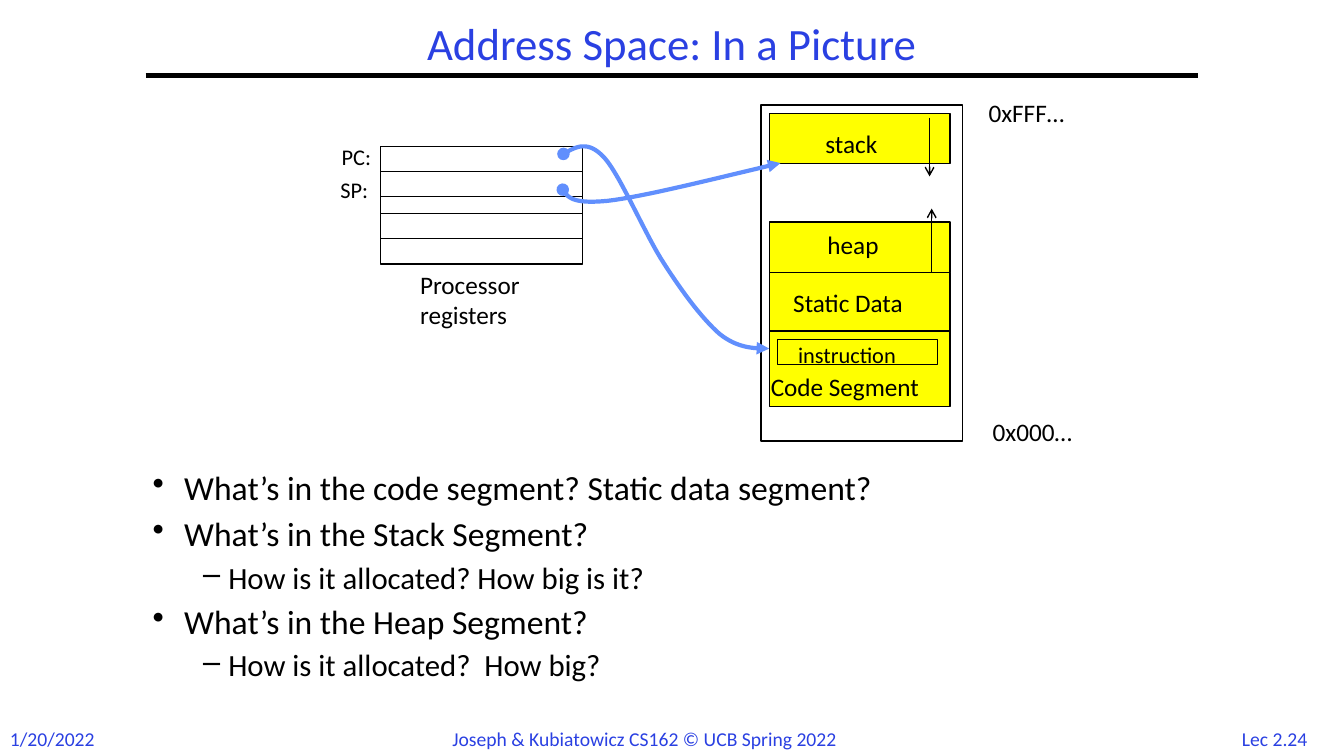
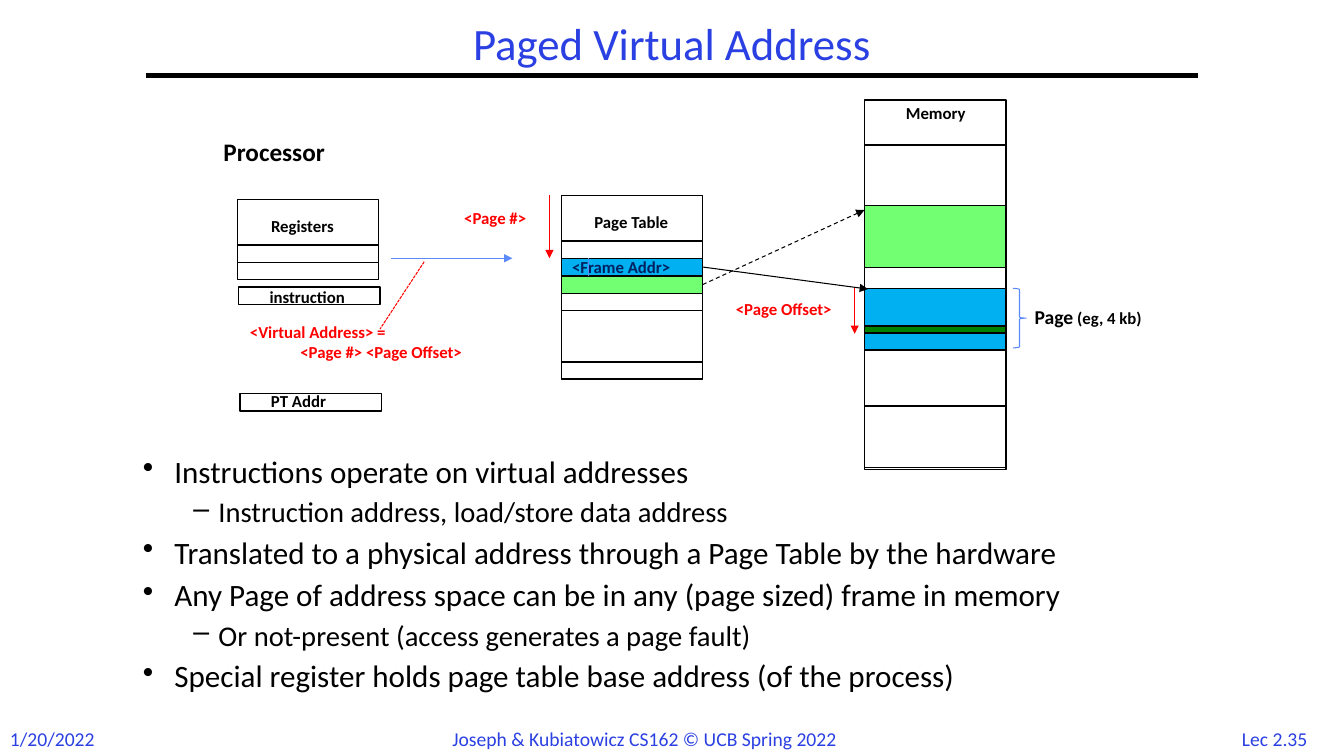
from dataclasses import dataclass

from pptx import Presentation
from pptx.dml.color import RGBColor
from pptx.enum import dml, shapes, text
from pptx.oxml import ns, xmlchemy
from pptx.oxml.xmlchemy import OxmlElement
from pptx.util import Pt

Spot = tuple[float, float]
Area = tuple[float, float, float, float]


@dataclass(frozen=True)
class Theme:
    font: str = "Calibri"
    blue: str = "2A40E2"
    black: str = "000000"
    yellow: str = "FFFF00"
    curve: str = "618FFD"
    pale: str = "5B8AFB"
    red: str = "FF0000"
    navy: str = "002060"
    sky: str = "00B0F0"
    lime: str = "72FF72"
    green: str = "008200"
    title: float = 32
    label: float = 18
    note: float = 16
    foot: float = 14
    small: float = 12


T = Theme()


@dataclass(frozen=True)
class Box:
    at: Area
    fill: str | None = None
    key: str = ""
    form: shapes.MSO_SHAPE = shapes.MSO_SHAPE.RECTANGLE
    ink: str = T.black
    thick: float = 1


@dataclass(frozen=True)
class Tag:
    at: Area
    text: str
    size: float = T.label
    ink: str = T.black
    bold: bool = False
    tail: str = ""


@dataclass(frozen=True)
class Link:
    """A straight line; source names the box whose right side it leaves."""
    start: Spot
    end: Spot
    ink: str = T.black
    thick: float = 0.75
    head: str = "triangle"
    dash: dml.MSO_LINE | None = None
    source: str = ""


@dataclass(frozen=True)
class Curve:
    """A chain of cubic pieces: a start, then three points for each piece."""
    spots: tuple[Spot, ...]


@dataclass(frozen=True)
class Points:
    at: Area
    sizes: tuple[float, float]
    items: tuple[tuple[int, str], ...]


@dataclass(frozen=True)
class Page:
    title: str
    number: str
    boxes: list[Box]
    tags: list[Tag]
    links: list[Link]
    curves: list[Curve]
    points: Points


def place(at: Area) -> list[int]:
    return [Pt(v) for v in at]


def style(item, size: float, ink: str, bold: bool = False) -> None:
    for name, value in {"name": T.font, "size": Pt(size), "bold": bold}.items():
        setattr(item.font, name, value)
    item.font.color.rgb = RGBColor.from_string(ink)


def stroke(shape, ink: str, thick: float) -> None:
    shape.line.color.rgb = RGBColor.from_string(ink)
    shape.line.width = Pt(thick)


def add_tips(shape, **tips: str) -> None:
    """Add arrowheads, given in the order headEnd, tailEnd."""
    for end, kind in tips.items():
        tip = OxmlElement(f"a:{end}")
        tip.set("type", kind)
        shape.get_or_add_ln().append(tip)


def add_box(slide, box: Box):
    shape = slide.shapes.add_shape(box.form, *place(box.at))
    shape.shadow.inherit = False
    if box.fill:
        shape.fill.solid()
        shape.fill.fore_color.rgb = RGBColor.from_string(box.fill)
    else:
        shape.fill.background()
    stroke(shape, box.ink, box.thick)
    return shape


def add_tag(slide, tag: Tag) -> None:
    frame = slide.shapes.add_textbox(*place(tag.at)).text_frame
    frame.word_wrap = True
    frame.text = tag.text
    for para in frame.paragraphs:
        for run in para.runs:
            style(run, tag.size, tag.ink, tag.bold)
    if tag.tail:
        run = frame.paragraphs[-1].add_run()
        run.text = tag.tail
        style(run, T.small, tag.ink, tag.bold)


def add_link(slide, link: Link, known: dict) -> None:
    line = slide.shapes.add_connector(
        shapes.MSO_CONNECTOR.STRAIGHT, *place(link.start + link.end))
    if link.source:
        line.begin_connect(known[link.source], 3)
    stroke(line, link.ink, link.thick)
    if link.dash:
        line.line.dash_style = link.dash
    if link.head:
        add_tips(line, tailEnd=link.head)
    line._element.spPr.append(OxmlElement("a:effectLst"))


def add_curve(slide, curve: Curve, steps: int = 16) -> None:
    first, *rest = curve.spots
    track, start = [], first
    for i in range(0, len(rest), 3):
        knots = (start, *rest[i:i + 3])
        for k in range(1, steps + 1):
            t = k / steps
            mix = ((1 - t) ** 3, 3 * t * (1 - t) ** 2, 3 * t * t * (1 - t), t ** 3)
            track.append(tuple(Pt(sum(m * p[axis] for m, p in zip(mix, knots)))
                               for axis in (0, 1)))
        start = knots[-1]
    path = slide.shapes.build_freeform(*place(first))
    path.add_line_segments(track, close=False)
    shape = path.convert_to_shape()
    shape.shadow.inherit = False
    shape.fill.background()
    stroke(shape, T.curve, 3)
    add_tips(shape, headEnd="oval", tailEnd="triangle")


def add_points(slide, points: Points) -> None:
    frame = slide.shapes.add_textbox(*place(points.at)).text_frame
    frame.word_wrap = True
    marks = ((22.5, -22.5, "•"), (54, -18, "–"))
    for i, (level, words) in enumerate(points.items):
        para = frame.paragraphs[0] if i == 0 else frame.add_paragraph()
        size = points.sizes[level]
        gap = Pt(round(0.28 * size, 1)) if i else Pt(0)
        form = {"text": words, "level": level, "line_spacing": 0.9,
                "space_before": gap}
        for name, value in form.items():
            setattr(para, name, value)
        style(para.runs[0], size, T.black)
        left, indent, sign = marks[level]
        props = para._p.get_or_add_pPr()
        props.set("marL", str(Pt(left)))
        props.set("indent", str(Pt(indent)))
        bullet = OxmlElement("a:buChar")
        bullet.set("char", sign)
        props.append(bullet)


def add_frame(slide, page: Page) -> None:
    """Draw what all pages share: title, rule and footers."""
    title = slide.shapes.title
    for name, value in zip(("left", "top", "width", "height"),
                           place((104, 12, 752, 42))):
        setattr(title, name, value)
    frame = title.text_frame
    frame.text = page.title
    frame.auto_size = text.MSO_AUTO_SIZE.NONE
    frame.vertical_anchor = text.MSO_ANCHOR.MIDDLE
    para = frame.paragraphs[0]
    para.alignment = text.PP_ALIGN.CENTER
    para.line_spacing = 0.9
    style(para.runs[0], T.title, T.blue)
    add_link(slide, Link((104, 54), (856, 54), thick=3, head=""), {})
    feet = ((0, 78, "1/20/2022"),
            (316, 328, "Joseph & Kubiatowicz CS162 © UCB Spring 2022"),
            (880, 72, page.number))
    for left, width, words in feet:
        add_tag(slide, Tag((left, 515.5, width, 24), words, T.foot, T.blue))


def add_page(deck, page: Page) -> None:
    slide = deck.slides.add_slide(deck.slide_layouts[5])
    add_frame(slide, page)
    add_points(slide, page.points)
    known = {}
    for box in page.boxes:
        known[box.key] = add_box(slide, box)
    for tag in page.tags:
        add_tag(slide, tag)
    for link in page.links:
        add_link(slide, link, known)
    for curve in page.curves:
        add_curve(slide, curve)


def space_page() -> Page:
    parts = ((81, 36), (158.5, 36), (194.5, 42), (236.5, 54))
    boxes = [Box((272, 104.5, 144, 84)), Box((543.5, 75, 144, 240))]
    boxes += [Box((272, y, 144, 18)) for y in (122.5, 152.5)]
    boxes += [Box((549.5, y, 129, h), T.yellow) for y, h in parts]
    boxes.append(Box((555.5, 242.5, 114, 18)))
    tags = [Tag((293, 188.5, 97, 51), "Processor\nregisters"),
            Tag((237, 98.5, 42, 27), "PC:", T.note),
            Tag((236, 122.5, 41, 27), "SP:", T.note),
            Tag((702, 294, 82, 29), "0x000…"),
            Tag((699, 66, 85, 29), "0xFFF…"),
            Tag((543.5, 261.5, 136, 29), "Code Segment"),
            Tag((559.5, 201.5, 104, 29), "Static Data"),
            Tag((584, 160, 55, 29), "heap"),
            Tag((582.5, 88, 57, 29), "stack"),
            Tag((563, 240, 96, 27), "instruction", T.note)]
    links = [Link((665.5, 194.5), (665.5, 149), thick=1, head="arrow"),
             Link((664, 84), (664, 126), thick=1, head="arrow")]
    curves = [Curve(((402.5, 110), (411, 105), (420, 99.5), (432, 113),
                     (443.5, 126), (461, 168), (474.5, 188.5),
                     (488, 209.5), (502, 228), (514, 238.5),
                     (526.5, 248.5), (538, 249), (549.5, 249))),
              Curve(((402, 135.5), (405.5, 140.5), (408, 146), (434, 143.5),
                     (460, 140.5), (509, 128), (557.5, 116.5)))]
    points = Points((102, 333.5, 721.5, 188.5), (24, 22), (
        (0, "What’s in the code segment? Static data segment?"),
        (0, "What’s in the Stack Segment?"),
        (1, "How is it allocated? How big is it?"),
        (0, "What’s in the Heap Segment?"),
        (1, "How is it allocated?  How big?")))
    return Page("Address Space: In a Picture", "Lec 2.24", boxes, tags, links,
                curves, points)


def paged_page() -> Page:
    wide, row, frame = 101, 12.5, 44
    regs, table, store = 169.5, 401, 617.5
    boxes = [Box((regs, 142.5, wide, 57)), Box((regs, 175, wide, row)),
             Box((regs + 1, 205, wide, row)), Box((regs + 2, 281, wide, row)),
             Box((table, 139.5, wide, 131)), Box((store, 71.5, wide, 264))]
    rows = ((None, ""), (T.sky, "near"), (T.lime, "far"), (None, ""))
    boxes += [Box((table, 172 + i * row, wide, row), fill, key)
              for i, (fill, key) in enumerate(rows)]
    boxes.append(Box((table, 258.5, wide, row)))
    boxes += [Box((store, y, wide, frame), fill) for y, fill in
              ((103.5, None), (206, T.sky), (290, None), (147, T.lime))]
    boxes += [Box((store, 233, wide, 5), T.green),
              Box((723.5, 206, 9.5, 42.5), form=shapes.MSO_SHAPE.RIGHT_BRACE,
                  ink=T.pale, thick=0.75)]
    tags = [Tag((152.5, 93.5, 104, 29), "Processor", bold=True),
            Tag((732, 214, 105, 25), "Page", T.foot, bold=True,
                tail=" (eg, 4 kb)")]
    small = (((186.5, 150.5, 70), "Registers", T.black),
             ((417.5, 147.5, 78), "Page Table", T.black),
             ((640, 70, 61), "Memory", T.black),
             ((171.5, 226, 236), "<Virtual Address> =\n\t<Page #> <Page Offset>",
              T.red),
             ((324.5, 144.5, 71), "<Page #>", T.red),
             ((401.5, 180, 99), "<Frame Addr>", T.navy),
             ((518.5, 209.5, 99), "<Page Offset>", T.red),
             ((185.5, 201, 77), "instruction", T.black),
             ((186.5, 275.5, 61), "PT Addr", T.black))
    tags += [Tag((*at, 22), words, T.small, ink, True) for at, words, ink in small]
    links = [Link((279.5, 184.5), (366, 184.5), T.pale),
             Link((303, 187), (271.5, 235), T.red, head="",
                  dash=dml.MSO_LINE.SQUARE_DOT),
             Link((392.5, 139.5), (392.5, 184.5), T.red),
             Link((610.5, 206), (610.5, 238.5), T.red),
             Link((502, 190.75), (620, 206.5), source="near"),
             Link((420.5, 184.5), (420.5, 197), T.pale, head=""),
             Link((502, 203.25), (617.5, 150), dash=dml.MSO_LINE.DASH,
                  source="far")]
    points = Points((95, 322.5, 751, 196.5), (22.2, 20.4), (
        (0, "Instructions operate on virtual addresses"),
        (1, "Instruction address, load/store data address"),
        (0, "Translated to a physical address through a Page Table by the hardware"),
        (0, "Any Page of address space can be in any (page sized) frame in memory"),
        (1, "Or not-present (access generates a page fault)"),
        (0, "Special register holds page table base address (of the process)")))
    return Page("Paged Virtual Address", "Lec 2.35", boxes, tags, links, [],
                points)


def main() -> None:
    deck = Presentation()
    deck.slide_width, deck.slide_height = Pt(960), Pt(540)
    for page in (space_page(), paged_page()):
        add_page(deck, page)
    deck.save("out.pptx")


if __name__ == "__main__":
    main()
